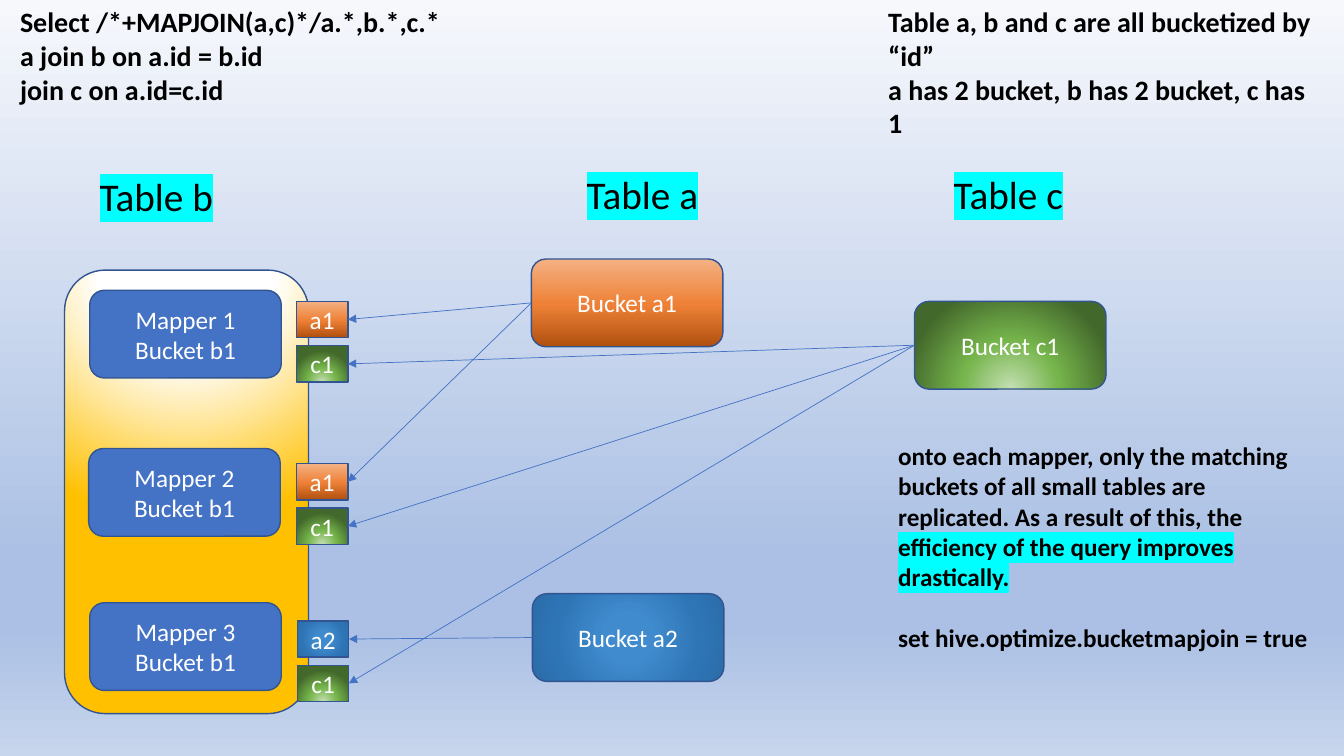
from dataclasses import dataclass
from lxml.etree import SubElement
from pptx import Presentation
from pptx.dml.color import RGBColor
from pptx.enum.shapes import MSO_CONNECTOR, MSO_SHAPE
from pptx.enum.text import MSO_ANCHOR, MSO_AUTO_SIZE, PP_ALIGN
from pptx.oxml import parse_xml
from pptx.oxml.ns import nsdecls, qn
from pptx.util import Inches, Pt


@dataclass(frozen=True)
class Theme:
    font: str = "Calibri"
    ink: str = "000000"
    white: str = "FFFFFF"
    mapper: str = "4472C4"
    outline: str = "325491"
    highlight: str = "00FFFF"
    body: int = 18
    query: int = 20
    heading: int = 28


theme = Theme()

# Gradients: stops, then a linear angle or the focus rectangle of a circle (l, t, r, b)
SKY = ([(0, "F6F8FC"), (74, "ABC0E4"), (83, "ABC0E4"), (100, "C7D5ED")], 90)
GOLD = ([(0, "FFFFFF"), (35, "FFFFFF"), (100, "FFC000")], (50, -80, 50, 180))
ORANGE = ([(0, "B0500F"), (48, "EE8137"), (100, "F4B183")], 270)
GREEN = ([(0, "C5E0B4"), (46, "76B54C"), (100, "43682B")], (50, 130, 50, -30))
BLUE = ([(0, "408BCE"), (23, "408BCE"), (69, "2E75B6"), (97, "2B6DA9")], (50, 50, 50, 50))


def add_block(kind, left, top, width, height, paint, lines=()):
    """Add an outlined shape with centred text; paint is a colour or a gradient."""
    block = page.shapes.add_shape(kind, Inches(left), Inches(top), Inches(width), Inches(height))
    block.shadow.inherit = False
    block.fill.solid()
    if isinstance(paint, str):
        block.fill.fore_color.rgb = RGBColor.from_string(paint)
    else:
        set_gradient(block.element, paint)
    block.line.color.rgb = RGBColor.from_string(theme.outline)
    block.line.width = Pt(1)
    frame = block.text_frame
    frame.vertical_anchor = MSO_ANCHOR.MIDDLE
    for index, line in enumerate(lines):
        para = frame.add_paragraph() if index else frame.paragraphs[0]
        para.alignment = PP_ALIGN.CENTER
        span = para.add_run()
        span.text = line
        span.font.size = Pt(theme.body)
        span.font.name = theme.font
        span.font.color.rgb = RGBColor.from_string(theme.white)
    return block


def set_gradient(element, gradient):
    """Replace the first solid fill inside the element by a gradient."""
    stops, direction = gradient
    stop_xml = "".join(
        f'<a:gs pos="{position * 1000}"><a:srgbClr val="{color}"/></a:gs>' for position, color in stops
    )
    if isinstance(direction, int):
        direction_xml = f'<a:lin ang="{direction * 60000}" scaled="0"/>'
    else:
        left, top, right, bottom = (edge * 1000 for edge in direction)
        direction_xml = (
            f'<a:path path="circle"><a:fillToRect l="{left}" t="{top}" r="{right}" b="{bottom}"/></a:path>'
        )
    solid = next(element.iter(qn("a:solidFill")))
    solid.getparent().replace(solid, parse_xml(
        f'<a:gradFill {nsdecls("a")} rotWithShape="1"><a:gsLst>{stop_xml}</a:gsLst>{direction_xml}</a:gradFill>'
    ))


deck = Presentation()
deck.slide_width, deck.slide_height = Inches(13.33), Inches(7.5)
page = deck.slides.add_slide(deck.slide_layouts[6])
page.background.fill.solid()
set_gradient(page.element, SKY)

add_block(MSO_SHAPE.ROUNDED_RECTANGLE, 0.64, 2.68, 2.42, 4.4, GOLD)

# Source buckets
bucket_places = {
    "a1": (5.27, 2.57, ORANGE),
    "a2": (5.28, 5.89, BLUE),
    "c1": (9.07, 2.99, GREEN),
}
buckets = {
    name: add_block(MSO_SHAPE.ROUNDED_RECTANGLE, left, top, 1.9, 0.87, paint, [f"Bucket {name}"])
    for name, (left, top, paint) in bucket_places.items()
}

# Each mapper holds a replica of its matching buckets, fed by an arrow
mappers = [
    (0.89, 2.88, 2.94, 2.99, "a1"),
    (0.88, 4.45, 2.94, 4.6, "a1"),
    (0.89, 5.98, 2.95, 6.16, "a2"),
]
for number, (left, top, replica_left, replica_top, a_bucket) in enumerate(mappers, 1):
    add_block(MSO_SHAPE.ROUNDED_RECTANGLE, left, top, 1.9, 0.87, theme.mapper,
              [f"Mapper {number}", "Bucket b1"])
    for row, name in enumerate((a_bucket, "c1")):
        replica = add_block(MSO_SHAPE.RECTANGLE, replica_left, replica_top + row * 0.44, 0.51, 0.36,
                            bucket_places[name][2], [name])
        arrow = page.shapes.add_connector(MSO_CONNECTOR.STRAIGHT, 0, 0, 0, 0)
        arrow.begin_connect(buckets[name], 1)
        arrow.end_connect(replica, 3)
        arrow.line.color.rgb = RGBColor.from_string(theme.mapper)
        arrow.line.width = Pt(0.5)
        SubElement(arrow.line._get_or_add_ln(), qn("a:tailEnd"), type="triangle")
        SubElement(arrow.element.spPr, qn("a:effectLst"))

# Text boxes: place, size, bold, paragraphs of (text, highlighted) runs
texts = [
    ((0.1, 0, 6.29, 1.11), theme.query, True, [
        [("Select /*+MAPJOIN(a,c)*/a.*,b.*,c.*", False)],
        [("a join b on a.id = b.id", False)],
        [("join c on a.id=c.id", False)],
    ]),
    ((8.71, 0, 4.52, 1.45), theme.query, True, [
        [("Table a, b and c are all bucketized by “id”", False)],
        [("a has 2 bucket, b has 2 bucket, c has 1", False)],
    ]),
    ((0.89, 1.66, 1.37, 0.57), theme.heading, False, [[("Table b", True)]]),
    ((5.72, 1.64, 1.33, 0.57), theme.heading, False, [[("Table a", True)]]),
    ((9.36, 1.64, 1.33, 0.57), theme.heading, False, [[("Table c", True)]]),
    ((8.81, 4.32, 4.36, 2.22), theme.body, True, [
        [("onto each mapper, only the matching buckets of all small tables are replicated. "
          "As a result of this, the ", False),
         ("efficiency of the query improves drastically.", True)],
        [("set hive.optimize.bucketmapjoin = true", False)],
    ]),
]
for place, size, bold, paragraphs in texts:
    box = page.shapes.add_textbox(*(Inches(length) for length in place))
    frame = box.text_frame
    frame.word_wrap = True
    frame.auto_size = MSO_AUTO_SIZE.SHAPE_TO_FIT_TEXT
    for index, runs in enumerate(paragraphs):
        para = frame.add_paragraph() if index else frame.paragraphs[0]
        if index and size == theme.body:
            para.space_before = Pt(22)
        for text, highlighted in runs:
            span = para.add_run()
            span.text = text
            span.font.size = Pt(size)
            span.font.bold = bold
            span.font.color.rgb = RGBColor.from_string(theme.ink)
            if highlighted:
                marker = SubElement(span.font._element, qn("a:highlight"))
                SubElement(marker, qn("a:srgbClr"), val=theme.highlight)
            span.font.name = theme.font

deck.save("out.pptx")
